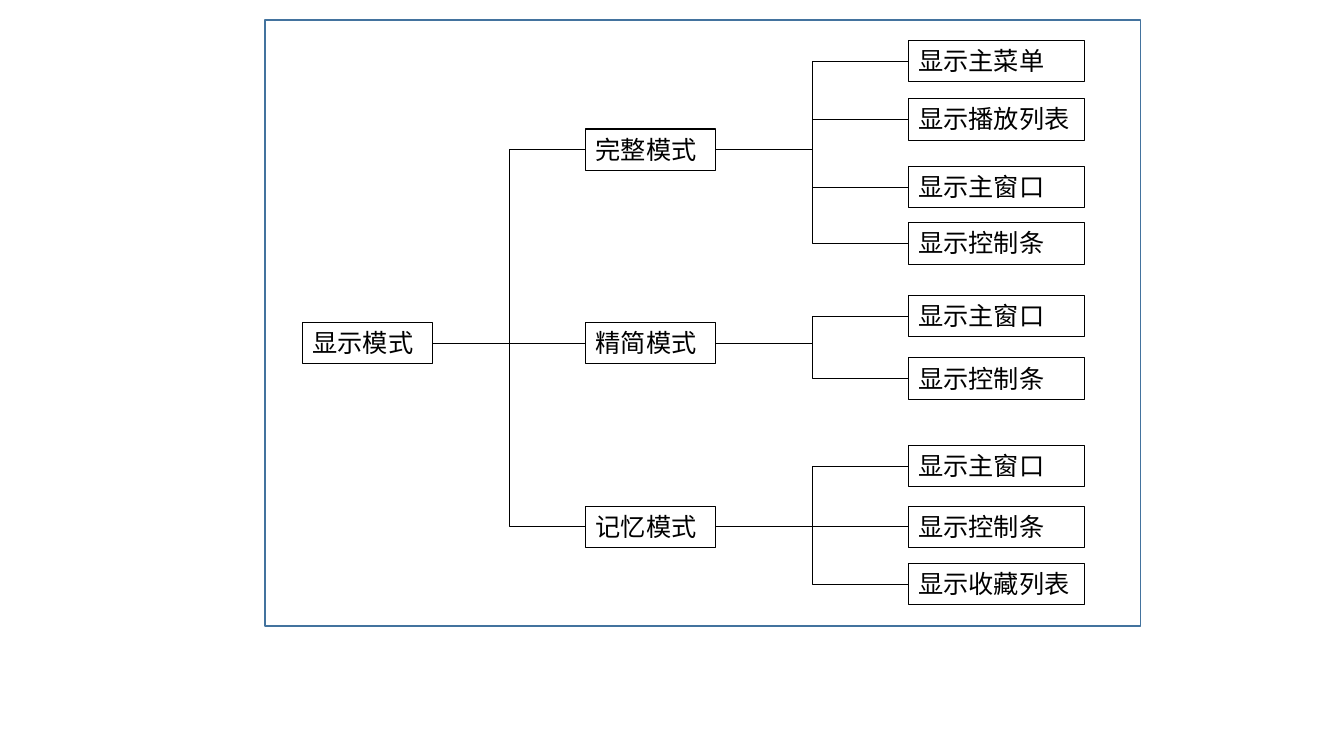
"""Draw the tree of display modes with the parts each one shows."""
from lxml.etree import SubElement
from pptx import Presentation
from pptx.dml.color import RGBColor
from pptx.enum.shapes import MSO_CONNECTOR, MSO_SHAPE
from pptx.enum.text import MSO_ANCHOR, MSO_AUTO_SIZE, PP_ALIGN
from pptx.oxml.ns import qn
from pptx.util import Inches, Pt

ROOT = ("显示模式", 3.2)
MODES = [
    ("完整模式", 1.28, [("显示主菜单", 0.4), ("显示播放列表", 0.98),
                    ("显示主窗口", 1.65), ("显示控制条", 2.21)]),
    ("精简模式", 3.2, [("显示主窗口", 2.93), ("显示控制条", 3.55)]),
    ("记忆模式", 5.02, [("显示主窗口", 4.42), ("显示控制条", 5.02),
                    ("显示收藏列表", 5.59)]),
]
COLS = [(3, 1.29), (5.81, 1.29), (9.01, 1.75)]
HIGH = 0.41
FRAME = (2.63, 0.2, 8.68, 6.01)
INK, BLUE = "000000", "43739E"
BODY = {"word_wrap": True, "auto_size": MSO_AUTO_SIZE.SHAPE_TO_FIT_TEXT,
        "vertical_anchor": MSO_ANCHOR.TOP}
FONT = {"name": "Arial", "size": Pt(18)}
LEFT, RIGHT = 1, 3

deck = Presentation()
deck.slide_width, deck.slide_height = Inches(13.33), Inches(7.5)
slide = deck.slides.add_slide(deck.slide_layouts[6])


def style(item, vals):
    for key, val in vals.items():
        setattr(item, key, val)


def stroke(line, color, width):
    line.color.rgb = RGBColor.from_string(color)
    line.width = Pt(width)


def rect(area, color, width):
    box = slide.shapes.add_shape(MSO_SHAPE.RECTANGLE, *map(Inches, area))
    box.shadow.inherit = False
    box.fill.background()
    stroke(box.line, color, width)
    return box


def node(text, top, col):
    left, wide = COLS[col]
    box = rect((left, top, wide, HIGH), INK, 0.75)
    style(box.text_frame, BODY)
    para = box.text_frame.paragraphs[0]
    para.alignment = PP_ALIGN.LEFT
    run = para.add_run()
    run.text = text
    style(run.font, FONT)
    run.font.color.rgb = RGBColor.from_string(INK)
    return box


def join(start, end):
    kind = MSO_CONNECTOR.STRAIGHT if start.top == end.top else MSO_CONNECTOR.ELBOW
    link = slide.shapes.add_connector(kind, 0, 0, 0, 0)
    link.begin_connect(start, RIGHT)
    link.end_connect(end, LEFT)
    stroke(link.line, INK, 0.5)
    SubElement(link._element.spPr, qn("a:effectLst"))


root = node(*ROOT, 0)
for name, top, parts in MODES:
    mode = node(name, top, 1)
    join(root, mode)
    for part in parts:
        join(mode, node(*part, 2))
rect(FRAME, BLUE, 1)
deck.save("out.pptx")
